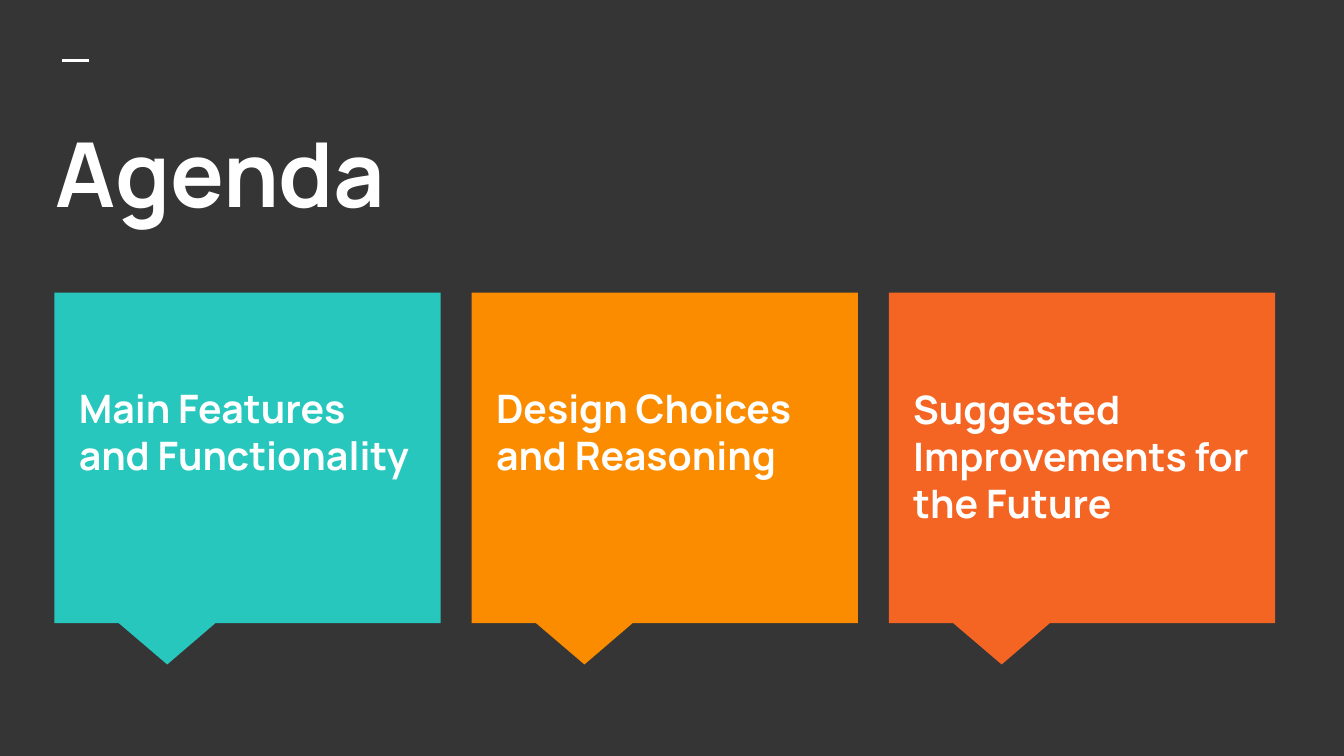
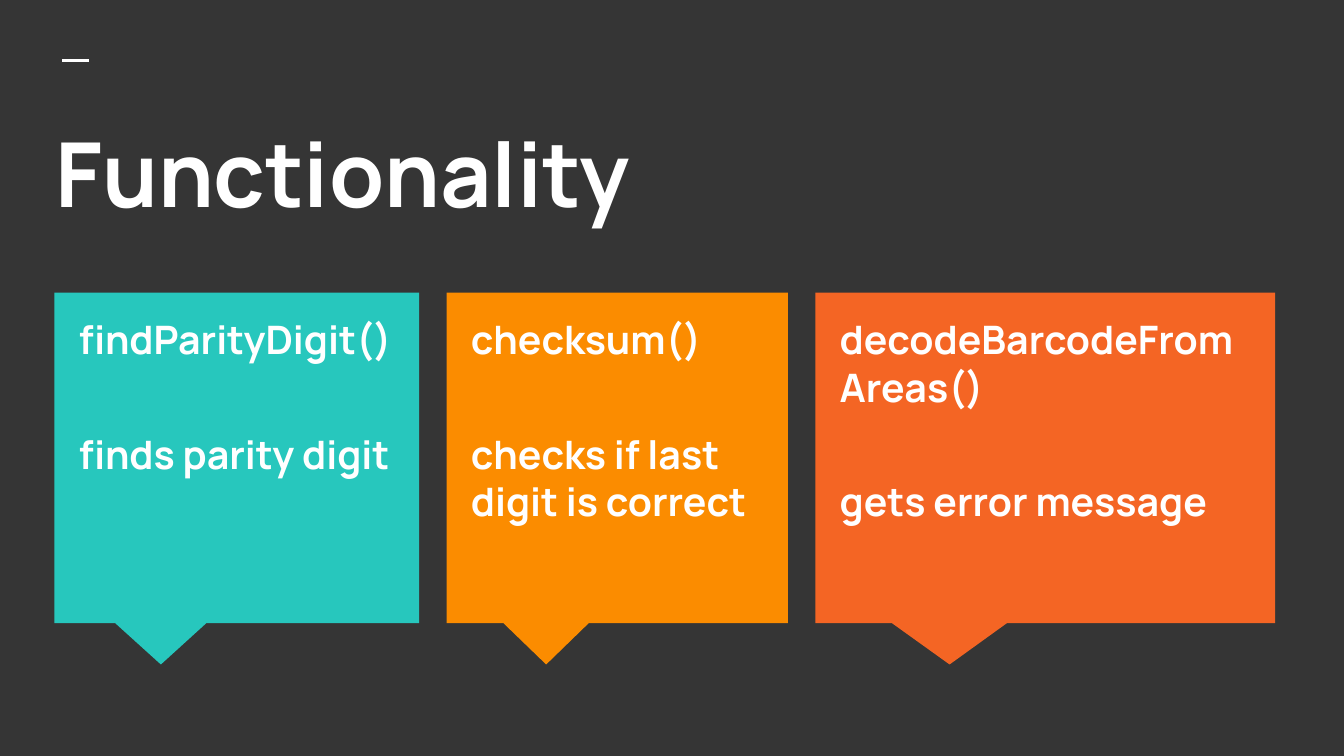
"""Builds the Agenda and Functionality slides, each with three callout cards."""
from dataclasses import dataclass

from lxml import etree
from pptx import Presentation
from pptx import util as u
from pptx.dml.color import RGBColor
from pptx.enum import shapes, text
from pptx.oxml import ns


@dataclass(frozen=True)
class Theme:
    font: str = "Manrope"
    background: RGBColor = RGBColor(0x35, 0x35, 0x35)
    ink: RGBColor = RGBColor(0xFF, 0xFF, 0xFF)
    cards: tuple = (
        RGBColor(0x27, 0xC7, 0xBD),
        RGBColor(0xFB, 0x8C, 0x00),
        RGBColor(0xF4, 0x65, 0x24),
    )
    title_size: u.Pt = u.Pt(48)
    card_size: u.Pt = u.Pt(21)
    rule_width: u.Pt = u.Pt(1.5)
    paragraph_gap: u.Pt = u.Pt(36)


INSET = u.Cm(0.25)
CARDS_LEFT, CARDS_RIGHT = u.Cm(1.03), u.Cm(24.1)
CARD_TOP, CARD_HEIGHT = u.Cm(5.53), u.Cm(6.25)
CARD_PADDING = u.Cm(0.21)
LABEL_TOP, LABEL_HEIGHT = u.Cm(5.72), u.Cm(5.56)


class Deck:
    def __init__(self, theme):
        self.theme = theme
        self.prs = Presentation()
        self.prs.slide_width, self.prs.slide_height = u.Cm(25.4), u.Cm(14.29)
        self.s = None

    def slide(self, title):
        self.s = self.prs.slides.add_slide(self.prs.slide_layouts[6])
        fill = self.s.background.fill
        fill.solid()
        fill.fore_color.rgb = self.theme.background
        self.rule(u.Cm(1.18), u.Cm(1.68), u.Cm(1.15))
        self.textbox(u.Cm(0.8), u.Cm(1.98), u.Cm(23.95), u.Cm(2.84),
                     [title], self.theme.title_size)

    def rule(self, left, right, y):
        line = self.s.shapes.add_connector(
            shapes.MSO_CONNECTOR.STRAIGHT, left, y, right, y)
        line.line.color.rgb = self.theme.ink
        line.line.width = self.theme.rule_width
        etree.SubElement(line._element.spPr, ns.qn("a:effectLst"))

    def textbox(self, left, top, width, height, paragraphs, size, inset_top=INSET):
        tf = self.s.shapes.add_textbox(left, top, width, height).text_frame
        tf.word_wrap = True
        tf.vertical_anchor = text.MSO_ANCHOR.TOP
        tf.margin_left = tf.margin_right = tf.margin_bottom = INSET
        tf.margin_top = inset_top
        tf.text = "\n".join(paragraphs)
        for i, p in enumerate(tf.paragraphs):
            if i:
                p.space_before = self.theme.paragraph_gap
            for r in p.runs:
                r.font.name = self.theme.font
                r.font.size = size
                r.font.bold = True
                r.font.color.rgb = self.theme.ink

    def callout(self, left, width, color):
        sp = self.s.shapes.add_shape(
            shapes.MSO_SHAPE.RECTANGULAR_CALLOUT, left, CARD_TOP, width, CARD_HEIGHT)
        sp.adjustments[0], sp.adjustments[1] = -0.208, 0.625
        sp.shadow.inherit = False
        sp.fill.solid()
        sp.fill.fore_color.rgb = color
        sp.line.fill.background()

    def cards(self, labels, widths, inset_top=INSET):
        gap = (CARDS_RIGHT - CARDS_LEFT - sum(widths)) // (len(widths) - 1)
        left = CARDS_LEFT
        for paragraphs, width, color in zip(labels, widths, self.theme.cards):
            self.callout(left, width, color)
            self.textbox(left + CARD_PADDING, LABEL_TOP, width - 2 * CARD_PADDING,
                         LABEL_HEIGHT, paragraphs, self.theme.card_size, inset_top)
            left += width + gap


def main():
    deck = Deck(Theme())

    deck.slide("Agenda")
    deck.cards(
        [["Main Features and Functionality"],
         ["Design Choices and Reasoning"],
         ["Suggested Improvements for the Future"]],
        [u.Cm(7.3)] * 3,
        inset_top=u.Cm(1.57),
    )

    deck.slide("Functionality")
    deck.cards(
        [["findParityDigit()", "finds parity digit"],
         ["checksum()", "checks if last digit is correct"],
         ["decodeBarcodeFromAreas()", "gets error message"]],
        [u.Cm(6.89), u.Cm(6.45), u.Cm(8.69)],
    )

    deck.prs.save("out.pptx")


if __name__ == "__main__":
    main()
